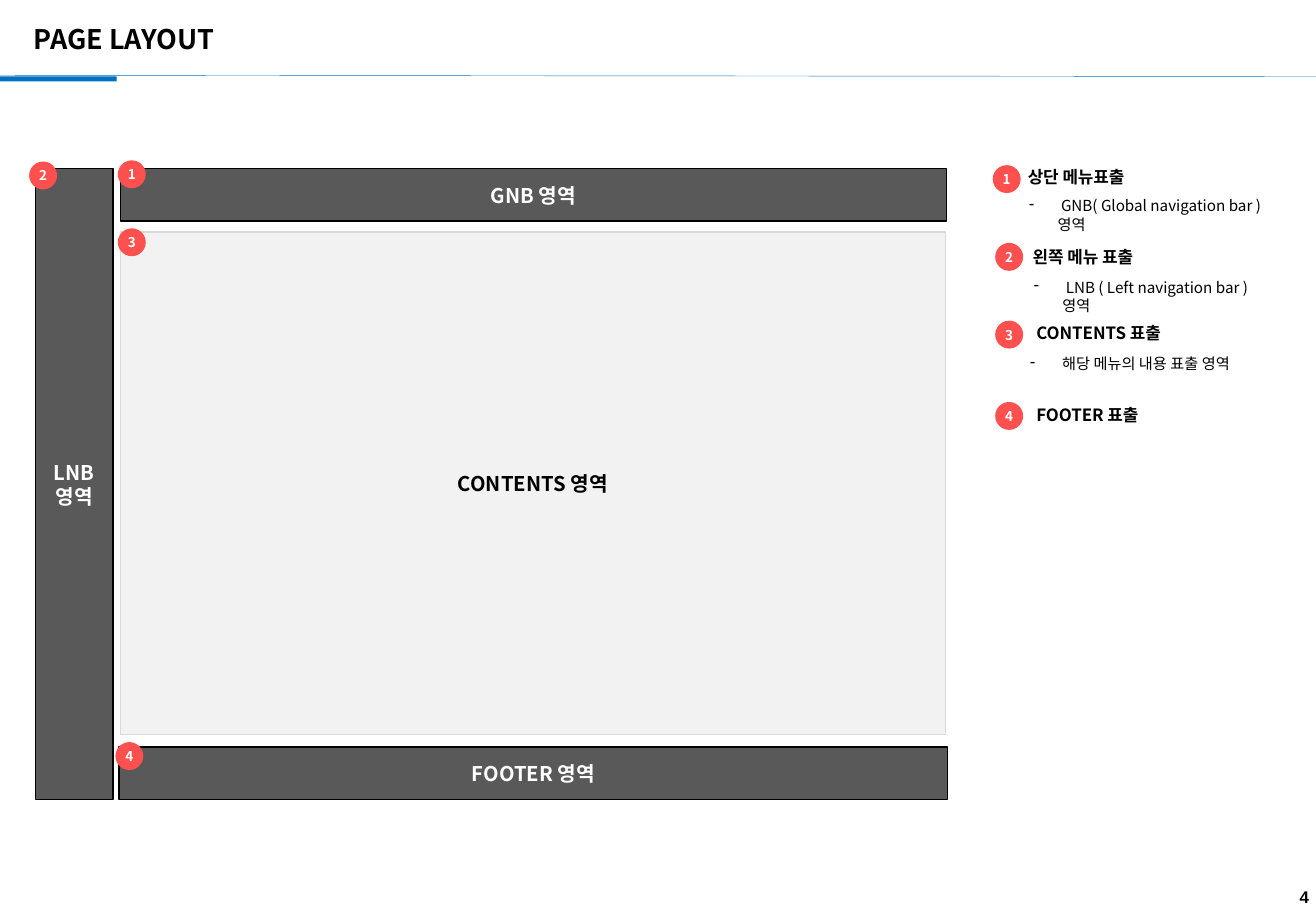
"""Build the PAGE LAYOUT slide: screen areas with numbered badges and their legend."""
from dataclasses import dataclass

import lxml.etree
import pptx
import pptx.dml.color
import pptx.enum.shapes
import pptx.enum.text
import pptx.oxml.ns
import pptx.util

RGB = pptx.dml.color.RGBColor
SHAPE = pptx.enum.shapes.MSO_SHAPE
ALIGN = pptx.enum.text.PP_ALIGN
ANCHOR = pptx.enum.text.MSO_ANCHOR
qn = pptx.oxml.ns.qn

BLUE = RGB(0x00, 0x70, 0xC0)
BLACK = RGB(0x00, 0x00, 0x00)
WHITE = RGB(0xFF, 0xFF, 0xFF)
DARK = RGB(0x59, 0x59, 0x59)
PALE = RGB(0xF2, 0xF2, 0xF2)
SILVER = RGB(0xD9, 0xD9, 0xD9)
CORAL = RGB(0xFF, 0x50, 0x50)
FONT = "Noto Sans CJK KR"

CELL = pptx.util.Inches(0.1)
COLUMNS, ROWS = 108.3, 75
BADGE = 2.3


@dataclass(frozen=True)
class Box:
    col: float
    row: float
    cols: float
    rows: float

    def emu(self) -> tuple:
        return tuple(round(n * CELL) for n in (self.col, self.row, self.cols, self.rows))


@dataclass(frozen=True)
class Area:
    text: str
    box: Box
    badge: str
    badge_col: float
    badge_row: float
    fill: RGB = DARK
    line: RGB = BLACK
    color: RGB = WHITE


@dataclass(frozen=True)
class Legend:
    badge: str
    badge_col: float
    badge_row: float
    title: str
    title_col: float
    title_row: float
    detail: str = ""
    detail_box: Box | None = None


AREAS = [
    Area("GNB 영역", Box(9.9, 13.9, 68, 4.3), "1", 9.7, 13.2),
    Area("CONTENTS 영역", Box(9.9, 19.1, 67.9, 41.4), "3", 9.7, 18.8, PALE, SILVER, BLACK),
    Area("FOOTER 영역", Box(9.8, 61.5, 68.2, 4.3), "4", 9.5, 61.1),
    Area("LNB 영역", Box(2.9, 13.9, 6.4, 51.9), "2", 2.4, 13.3),
]
LEGENDS = [
    Legend("1", 81.7, 13.6, "상단 메뉴표출", 83.6, 13.2,
           " GNB( Global navigation bar ) 영역", Box(83.7, 15.7, 23.1, 2.5)),
    Legend("2", 81.9, 20, "왼쪽 메뉴 표출", 84, 19.8,
           " LNB ( Left navigation bar ) 영역", Box(84.1, 22.4, 21.7, 2.5)),
    Legend("3", 81.9, 26.4, "CONTENTS 표출", 84.3, 26.1,
           " 해당 메뉴의 내용 표출 영역", Box(83.8, 28.7, 20, 2.5)),
    Legend("4", 81.9, 33.1, "FOOTER 표출", 84.3, 32.8),
]


def write(sp, text: str, size: float, color: RGB = BLACK, bold: bool = True,
          align=ALIGN.LEFT, font: str = FONT, wrap: bool = True):
    """Put one formatted paragraph into a shape and return it."""
    tf = sp.text_frame
    tf.word_wrap = wrap
    p = tf.paragraphs[0]
    p.text = text
    p.alignment = align
    p.font.size = pptx.util.Pt(size)
    p.font.bold = bold
    p.font.color.rgb = color
    p.font.name = font
    props = p._p.get_or_add_pPr().find(qn("a:defRPr"))
    lxml.etree.SubElement(props, qn("a:ea")).set("typeface", font)
    return p


def add_label(s, box: Box, text: str, size: float, **style):
    """Add a text box and return its paragraph."""
    return write(s.shapes.add_textbox(*box.emu()), text, size, **style)


def add_block(s, kind, box: Box, fill: RGB, line: RGB | None = None):
    """Add a flat filled shape with middle-anchored text."""
    sp = s.shapes.add_shape(kind, *box.emu())
    sp.shadow.inherit = False
    sp.fill.solid()
    sp.fill.fore_color.rgb = fill
    if line is None:
        sp.line.fill.background()
    else:
        sp.line.color.rgb = line
        sp.line.width = pptx.util.Pt(0.75)
    sp.text_frame.vertical_anchor = ANCHOR.MIDDLE
    return sp


def add_badge(s, number: str, col: float, row: float) -> None:
    """Add a numbered round badge."""
    sp = add_block(s, SHAPE.OVAL, Box(col, row, BADGE, BADGE), CORAL)
    write(sp, number, 8, WHITE, align=ALIGN.CENTER, wrap=False)


def add_dash(p) -> None:
    """Give a paragraph a hanging dash bullet."""
    props = p._p.get_or_add_pPr()
    indent = round(2.35 * CELL)
    props.set("marL", str(indent))
    props.set("indent", str(-indent))
    bullet = lxml.etree.Element(qn("a:buChar"))
    bullet.set("char", "-")
    props.find(qn("a:defRPr")).addprevious(bullet)


def add_header(s) -> None:
    """Add the title, the header rule with its accent, and the page number."""
    rule = s.shapes.add_connector(pptx.enum.shapes.MSO_CONNECTOR.STRAIGHT, 0,
                                  round(6.2 * CELL), round(COLUMNS * CELL), round(6.3 * CELL))
    rule.line.color.rgb = BLUE
    rule.line.width = pptx.util.Pt(0.25)
    lxml.etree.SubElement(rule._element.spPr, qn("a:effectLst"))
    add_block(s, SHAPE.RECTANGLE, Box(0, 6.3, 9.6, 0.4), BLUE)
    add_label(s, Box(1.8, 1.4, 24, 3.7), "PAGE LAYOUT", 16)
    add_label(s, Box(100.6, 72.5, 8.1, 2.7), "4", 10, align=ALIGN.RIGHT, font="Arial")


def add_area(s, area: Area) -> None:
    """Add a screen area with its centred name."""
    sp = add_block(s, SHAPE.RECTANGLE, area.box, area.fill, area.line)
    write(sp, area.text, 12, area.color, align=ALIGN.CENTER)


def add_legend(s, item: Legend) -> None:
    """Add one legend entry with its badge and optional detail."""
    add_badge(s, item.badge, item.badge_col, item.badge_row)
    add_label(s, Box(item.title_col, item.title_row, 18, 2.7), item.title, 10)
    if item.detail_box:
        add_dash(add_label(s, item.detail_box, item.detail, 9, bold=False))


prs = pptx.Presentation()
prs.slide_width = round(COLUMNS * CELL)
prs.slide_height = ROWS * CELL
s = prs.slides.add_slide(prs.slide_layouts[6])
add_header(s)
for area in AREAS:
    add_area(s, area)
for area in AREAS:
    add_badge(s, area.badge, area.badge_col, area.badge_row)
for item in LEGENDS:
    add_legend(s, item)
prs.save("out.pptx")
